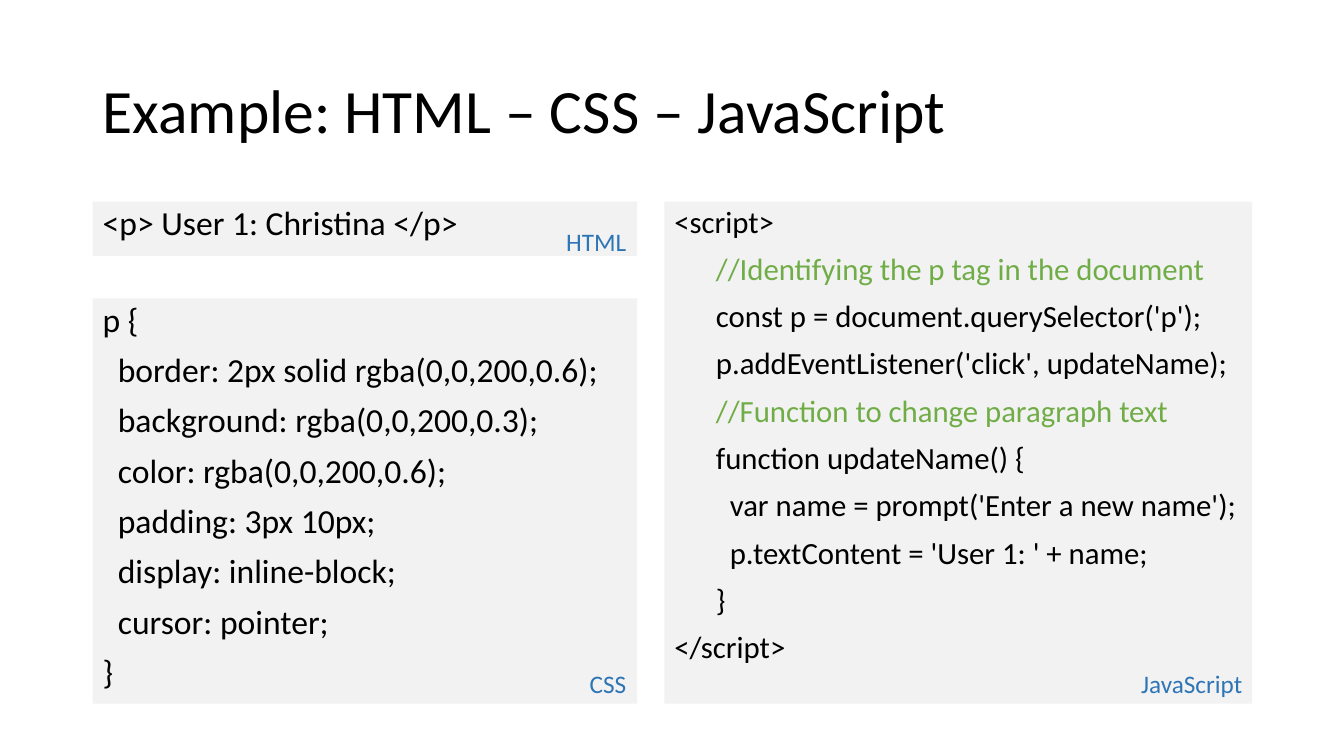
from pptx import Presentation
from pptx.dml.color import RGBColor
from pptx.enum import shapes, text
from pptx.util import Inches, Pt

BLACK = RGBColor(0x00, 0x00, 0x00)
GREEN = RGBColor(0x70, 0xAD, 0x47)
BLUE = RGBColor(0x2E, 0x75, 0xB6)
GRAY = RGBColor(0xF2, 0xF2, 0xF2)

HTML = "<p> User 1: Christina </p>"
CSS = """p {
  border: 2px solid rgba(0,0,200,0.6);
  background: rgba(0,0,200,0.3);
  color: rgba(0,0,200,0.6);
  padding: 3px 10px;
  display: inline-block;
  cursor: pointer;
}"""
JAVASCRIPT = """<script>
      //Identifying the p tag in the document
      const p = document.querySelector('p');
      p.addEventListener('click', updateName);
      //Function to change paragraph text
      function updateName() {
        var name = prompt('Enter a new name');
        p.textContent = 'User 1: ' + name;
      }
</script>"""


def style(p, size, color):
    for r in p.runs:
        r.font.name = "Calibri"
        r.font.size = Pt(size)
        r.font.color.rgb = color


prs = Presentation()
prs.slide_width, prs.slide_height = Inches(13.33), Inches(7.5)
s = prs.slides.add_slide(prs.slide_layouts[6])

title = s.shapes.add_textbox(Inches(0.92), Inches(0.4), Inches(11.5), Inches(1.45))
tf = title.text_frame
tf.word_wrap = True
tf.vertical_anchor = text.MSO_ANCHOR.MIDDLE
tf.text = "Example: HTML – CSS – JavaScript"
tf.paragraphs[0].line_spacing = 0.9
style(tf.paragraphs[0], 44, BLACK)

panels = [
    (HTML, 24, 0.92, 2, 5.4, 0.54),
    (CSS, 24, 0.92, 2.96, 5.4, 4.02),
    (JAVASCRIPT, 22, 6.59, 2, 5.83, 4.98),
]
for code, size, x, y, w, h in panels:
    sp = s.shapes.add_shape(shapes.MSO_SHAPE.RECTANGLE, Inches(x), Inches(y), Inches(w), Inches(h))
    sp.shadow.inherit = False
    sp.fill.solid()
    sp.fill.fore_color.rgb = GRAY
    sp.line.fill.background()
    tf = sp.text_frame
    tf.word_wrap = True
    tf.vertical_anchor = text.MSO_ANCHOR.TOP
    tf.text = code
    for i, p in enumerate(tf.paragraphs):
        p.alignment = text.PP_ALIGN.LEFT
        p.line_spacing = 0.9
        p.space_before = Pt(10 if i else 0)
        style(p, size, GREEN if p.text.strip().startswith("//") else BLACK)

labels = [("HTML", 5.48, 2.2, 0.83), ("CSS", 5.48, 6.58, 0.83), ("JavaScript", 10.88, 6.58, 1.54)]
for language, x, y, w in labels:
    label = s.shapes.add_textbox(Inches(x), Inches(y), Inches(w), Inches(0.4))
    tf = label.text_frame
    tf.word_wrap = True
    tf.auto_size = text.MSO_AUTO_SIZE.SHAPE_TO_FIT_TEXT
    tf.text = language
    tf.paragraphs[0].alignment = text.PP_ALIGN.RIGHT
    style(tf.paragraphs[0], 18, BLUE)

prs.save("out.pptx")
